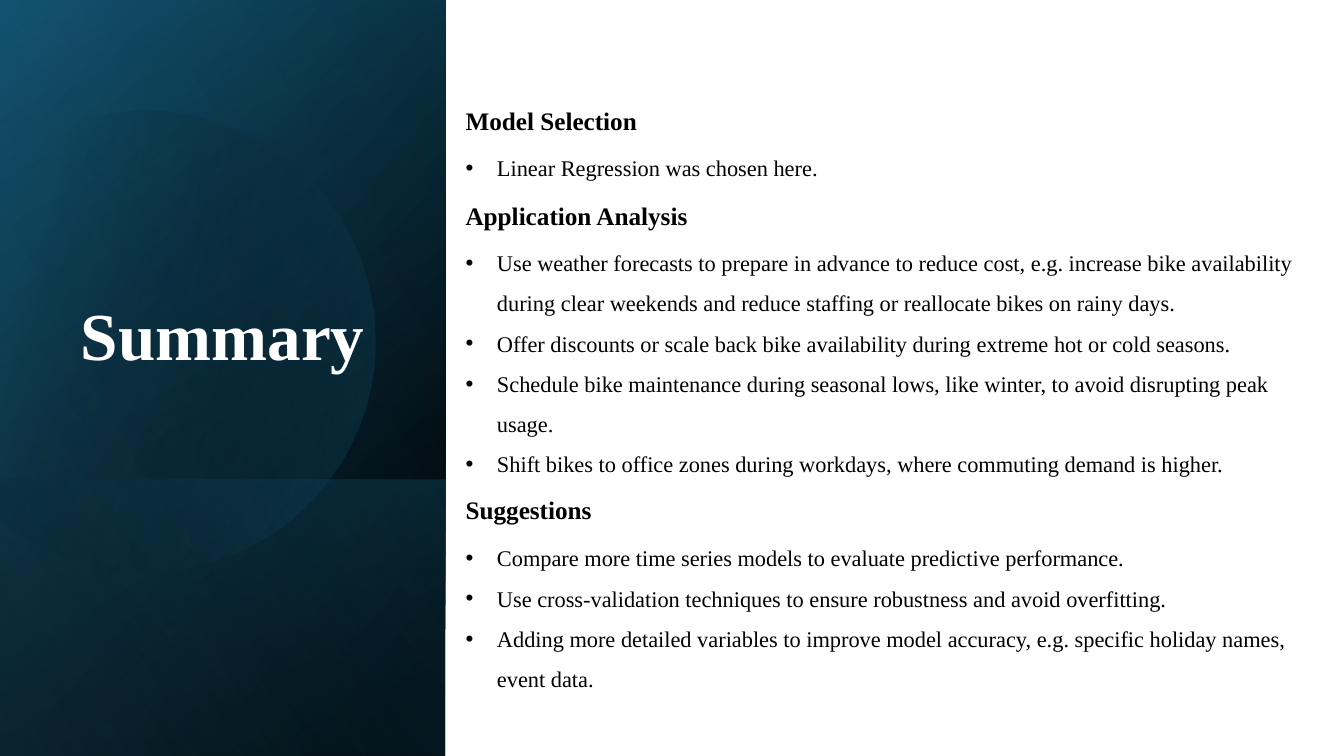
import dataclasses
import math
import typing

import lxml.etree
import pptx
import pptx.dml.color
import pptx.enum.shapes
import pptx.enum.text
import pptx.oxml.ns
import pptx.util

WIDE = pptx.util.Inches(13.33)
HIGH = pptx.util.Inches(7.5)
FONT = "Times New Roman"
INK = {
    "white": "FFFFFF",
    "black": "000000",
    "navy": "104862",
    "teal": "156082",
    "sky": "46B1E1",
}
PANEL = 33.15
EDGE = 33.9
TURN = 343.9
PIVOT = (21.13, 44.6)
START = (19.87, 14.67)
ARCS = [
    [(32.8, 14.93), (44.67, 23.6), (48.4, 36.67)],
    [(53.07, 52.93), (43.73, 69.73), (27.6, 74.4)],
    [(17.47, 77.33), (7.07, 74.8), (-0.4, 68.53)],
    [(-2, 67.07)],
    [(-2, 23.33)],
    [(0, 21.47)],
    [(3.07, 18.93), (6.67, 17.07), (10.67, 15.87)],
    [(13.73, 15.07), (16.8, 14.67), START],
]
Point = tuple[float, float]


class Stop(typing.NamedTuple):
    place: int
    ink: str
    alpha: int = 100


@dataclasses.dataclass
class Layer:
    top: float
    high: float
    angle: int
    stops: list[Stop]


@dataclasses.dataclass
class Block:
    left: float
    top: float
    wide: float
    high: float
    lines: list[str]
    size: int = 16
    bold: bool = False
    bullet: bool = False
    ink: str = "black"
    space: float = 1.5
    title: bool = False


BASE = [
    Layer(0, 100, 50, [Stop(8, "black"), Stop(100, "navy")]),
    Layer(0, 100, 30, [Stop(0, "black", 0), Stop(99, "teal", 46)]),
    Layer(63.47, 36.53, 130, [Stop(2, "teal", 29), Stop(100, "black", 30)]),
]
DISC = [Stop(29, "black", 0), Stop(100, "teal", 43)]
GLOW = Layer(0, 100, 120, [Stop(0, "black", 0), Stop(99, "sky", 11)])

BLOCKS = [
    Block(0, 0.8, PANEL, 49.33, ["Summary"], 48, True, ink="white", space=1.1, title=True),
    Block(EDGE, 18, 64.2, 6.13, ["Linear Regression was chosen here."], bullet=True),
    Block(EDGE, 69.6, 63.23, 22.27, [
        "Compare more time series models to evaluate predictive performance.",
        "Use cross-validation techniques to ensure robustness and avoid overfitting.",
        "Adding more detailed variables to improve model accuracy, e.g. specific holiday names, event data.",
    ], bullet=True),
    Block(EDGE, 62.67, 63.23, 6.67, ["Suggestions"], 18, True),
    Block(EDGE, 11.33, 42.53, 6.67, ["Model Selection"], 18, True),
    Block(EDGE, 30.53, 63.23, 33.07, [
        "Use weather forecasts to prepare in advance to reduce cost, e.g. increase bike availability "
        "during clear weekends and reduce staffing or reallocate bikes on rainy days.",
        "Offer discounts or scale back bike availability during extreme hot or cold seasons.",
        "Schedule bike maintenance during seasonal lows, like winter, to avoid disrupting peak usage.",
        "Shift bikes to office zones during workdays, where commuting demand is higher.",
    ], bullet=True),
    Block(EDGE, 23.87, 26.1, 6.67, ["Application Analysis"], 18, True),
]


def col(share: float) -> int:
    return round(WIDE * share / 100)


def row(share: float) -> int:
    return round(HIGH * share / 100)


def color(name: str) -> pptx.dml.color.RGBColor:
    return pptx.dml.color.RGBColor.from_string(INK[name])


def add(node, tag: str, **attrs):
    child = lxml.etree.SubElement(node, pptx.oxml.ns.qn(tag))
    for key, value in attrs.items():
        child.set(key, str(value))
    return child


def blend(shape, stops: list[Stop], angle: int) -> None:
    shape.shadow.inherit = False
    shape.line.fill.background()
    shape.fill.background()
    props = shape._element.spPr
    blank = props.find(pptx.oxml.ns.qn("a:noFill"))
    grad = add(props, "a:gradFill", rotWithShape=1)
    items = add(grad, "a:gsLst")
    for stop in stops:
        mark = add(items, "a:gs", pos=stop.place * 1000)
        tint = add(mark, "a:srgbClr", val=INK[stop.ink])
        if stop.alpha < 100:
            add(tint, "a:alpha", val=stop.alpha * 1000)
    add(grad, "a:lin", ang=angle * 60000, scaled=0)
    props.replace(blank, grad)


def box(slide, left: int, top: int, wide: int, high: int):
    kind = pptx.enum.shapes.MSO_SHAPE.RECTANGLE
    return slide.shapes.add_shape(kind, left, top, wide, high)


def sheet(slide, layer: Layer) -> None:
    wide, high = col(PANEL), row(layer.high)
    shift = (wide - high) // 2
    shape = box(slide, shift, row(layer.top) - shift, high, wide)
    shape.rotation = 90
    shape._element.spPr.xfrm.set("flipH", "1")
    blend(shape, layer.stops, layer.angle)


def curve(ends: list[Point], steps: int = 24) -> list[Point]:
    dots = []
    for step in range(1, steps + 1):
        t = step / steps
        parts = [math.comb(3, i) * t**i * (1 - t) ** (3 - i) for i in range(4)]
        dots.append(tuple(sum(p * e[axis] for p, e in zip(parts, ends)) for axis in (0, 1)))
    return dots


def spin(dot: Point) -> Point:
    turn = math.radians(-TURN)
    x, y = dot[0] - PIVOT[0], dot[1] - PIVOT[1]
    right = PIVOT[0] + x * math.cos(turn) - y * math.sin(turn)
    down = PIVOT[1] + x * math.sin(turn) + y * math.cos(turn)
    return row(right), row(down)


def disc(slide) -> None:
    dots = [START]
    for arc in ARCS:
        dots += curve([dots[-1], *arc]) if len(arc) == 3 else arc
    first, *rest = [spin(dot) for dot in dots]
    pen = slide.shapes.build_freeform(*first)
    pen.add_line_segments(rest, close=True)
    shape = pen.convert_to_shape()
    shape.rotation = TURN
    blend(shape, DISC, 30)


def write(slide, block: Block) -> None:
    area = col(block.left), row(block.top), col(block.wide), row(block.high)
    frame = slide.shapes.add_textbox(*area).text_frame
    frame.word_wrap = True
    frame.text = "\n".join(block.lines)
    if block.title:
        frame.vertical_anchor = pptx.enum.text.MSO_ANCHOR.BOTTOM
    else:
        frame.auto_size = pptx.enum.text.MSO_AUTO_SIZE.SHAPE_TO_FIT_TEXT
    for para in frame.paragraphs:
        para.line_spacing = block.space
        if block.title:
            para.alignment = pptx.enum.text.PP_ALIGN.CENTER
            para.space_after = pptx.util.Pt(6)
        if block.bullet:
            props = para._p.get_or_add_pPr()
            props.set("marL", str(col(2.34)))
            props.set("indent", str(-col(2.34)))
            add(props, "a:buFont", typeface="Arial")
            add(props, "a:buChar", char="•")
        for run in para.runs:
            run.font.name = FONT
            run.font.size = pptx.util.Pt(block.size)
            run.font.bold = block.bold
            run.font.color.rgb = color(block.ink)


def main() -> None:
    deck = pptx.Presentation()
    deck.slide_width, deck.slide_height = WIDE, HIGH
    slide = deck.slides.add_slide(deck.slide_layouts[6])
    back = box(slide, 0, 0, WIDE, HIGH)
    back.shadow.inherit = False
    back.fill.solid()
    back.fill.fore_color.rgb = color("white")
    back.line.fill.background()
    for layer in BASE:
        sheet(slide, layer)
    disc(slide)
    sheet(slide, GLOW)
    for block in BLOCKS:
        write(slide, block)
    deck.save("out.pptx")


if __name__ == "__main__":
    main()
